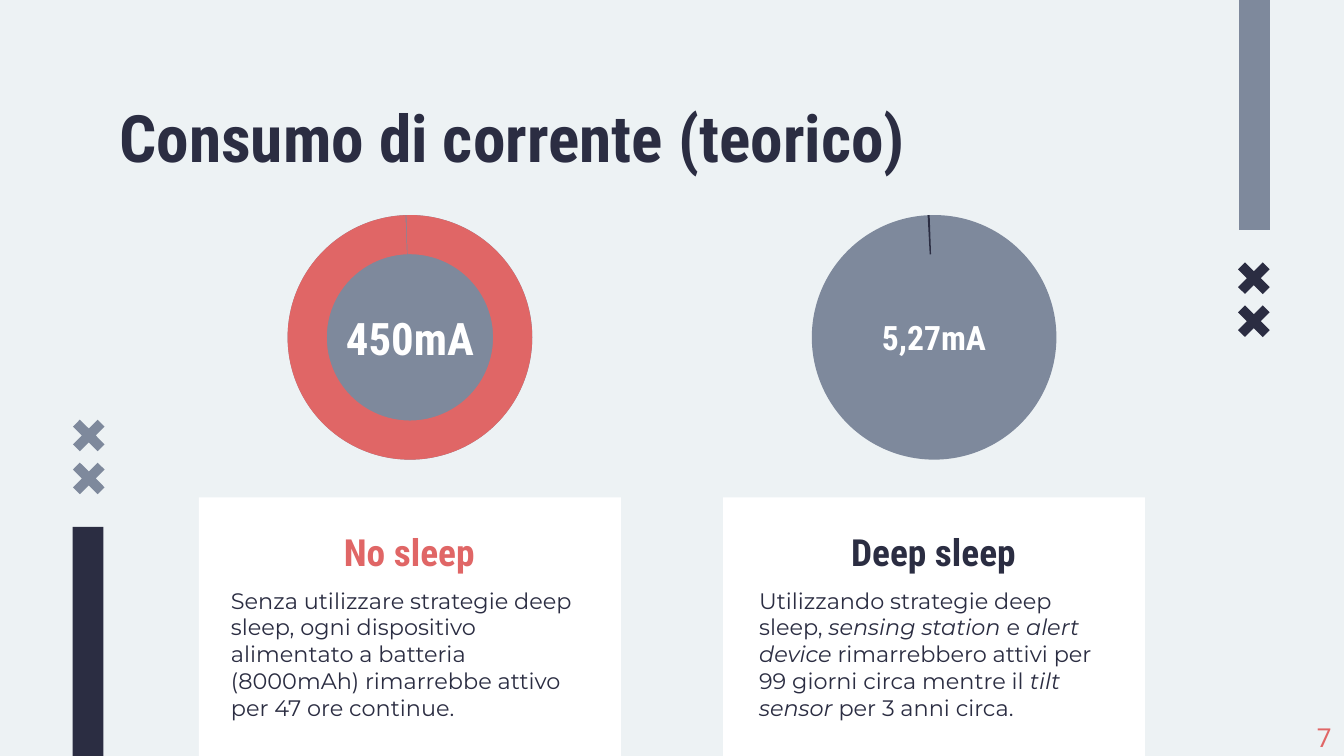
from pptx import Presentation
from pptx.dml.color import RGBColor
from pptx.enum.shapes import MSO_SHAPE
from pptx.enum.text import MSO_ANCHOR, PP_ALIGN
from pptx.util import Inches, Pt

RECT, OVAL = MSO_SHAPE.RECTANGLE, MSO_SHAPE.OVAL
CROSS, ARC = MSO_SHAPE.CROSS, MSO_SHAPE.BLOCK_ARC
TOP, MIDDLE = MSO_ANCHOR.TOP, MSO_ANCHOR.MIDDLE
LEFT, CENTER = PP_ALIGN.LEFT, PP_ALIGN.CENTER

PAPER = RGBColor(0xED, 0xF2, 0xF4)
WHITE = RGBColor(0xFF, 0xFF, 0xFF)
NAVY = RGBColor(0x2B, 0x2D, 0x42)
GREY = RGBColor(0x7E, 0x89, 0x9C)
RED = RGBColor(0xE0, 0x66, 0x66)

HEAD, BODY, NUMBER = "Roboto Condensed", "Montserrat", "Roboto"


def write(sp, runs, font=HEAD, size=12, color=NAVY, bold=False,
          align=LEFT, anchor=MIDDLE, wrap=True):
    """Fill a shape with one paragraph; runs is a string or (text, italic) pairs."""
    tf = sp.text_frame
    tf.word_wrap = wrap
    tf.vertical_anchor = anchor
    tf.margin_left = tf.margin_right = Inches(0.1)
    tf.margin_top = tf.margin_bottom = Inches(0.1 if wrap else 0.05)
    p = tf.paragraphs[0]
    p.alignment = align
    for text, italic in [(runs, False)] if isinstance(runs, str) else runs:
        r = p.add_run()
        r.text = text
        r.font.name, r.font.size = font, Pt(size)
        r.font.bold, r.font.italic = bold, italic
        r.font.color.rgb = color


class Deck:
    def __init__(self, prs):
        self.slide = prs.slides.add_slide(prs.slide_layouts[6])
        self.slide.background.fill.solid()
        self.slide.background.fill.fore_color.rgb = PAPER

    def shape(self, kind, x, y, w, h, color, rotation=0, adjust=()):
        sp = self.slide.shapes.add_shape(
            kind, Inches(x), Inches(y), Inches(w), Inches(h))
        sp.shadow.inherit = False
        sp.fill.solid()
        sp.fill.fore_color.rgb = color
        sp.line.fill.background()
        sp.rotation = rotation
        for i, value in enumerate(adjust):
            sp.adjustments[i] = value
        return sp

    def text(self, x, y, w, h, runs, **style):
        sp = self.slide.shapes.add_textbox(
            Inches(x), Inches(y), Inches(w), Inches(h))
        write(sp, runs, **style)

    def bar(self, x, y, color, rotation):
        self.shape(RECT, x, y, 1.71, 0.23, color, rotation)

    def crosses(self, x, y, color, rotation):
        for i in range(2):
            self.shape(CROSS, x, y + i * 0.32, 0.26, 0.26, color, rotation,
                       [0.36])

    def gauge(self, x, value, size, color, start, end):
        """Disc with a ring segment; angles are in degrees."""
        box = (x, 1.6, 1.82, 1.82)
        write(self.shape(OVAL, *box, GREY), value, size=size, color=WHITE,
              bold=True, align=CENTER)
        # An adjustment unit is 100000, a degree is 60000
        self.shape(ARC, *box, color, 270, [start * 0.6, end * 0.6, 0.16])

    def column(self, x, heading, color, body, body_x, body_w, **gauge):
        self.shape(RECT, x, 3.7, 3.14, 2.01, WHITE)
        self.gauge(x + 0.66, color=color, **gauge)
        self.text(x + 0.82, 3.9, 1.49, 0.41, heading, size=20, color=color,
                  bold=True, align=CENTER)
        self.text(body_x, 4.41, body_w, 0.91, body, font=BODY)


def main():
    prs = Presentation()
    prs.slide_width = Inches(10)
    prs.slide_height = prs.slide_width * 9 // 16
    deck = Deck(prs)

    deck.bar(-0.2, 4.66, NAVY, 90)
    deck.crosses(0.53, 3.11, GREY, 135)
    deck.bar(8.48, 0.74, GREY, 270)
    deck.crosses(9.2, 1.94, NAVY, 315)

    deck.text(0.79, 0.62, 6.33, 0.62, "Consumo di corrente (teorico)",
              size=35, bold=True, anchor=TOP)

    deck.column(
        1.48, "No sleep", RED,
        "Senza utilizzare strategie deep sleep, ogni dispositivo alimentato a "
        "batteria (8000mAh) rimarrebbe attivo per 47 ore continue.",
        1.62, 2.85, value="450mA", size=24, start=358.37, end=357.92)
    deck.column(
        5.38, "Deep sleep", NAVY,
        [("Utilizzando strategie deep sleep, ", False),
         ("sensing station ", True), ("e ", False), ("alert device ", True),
         ("rimarrebbero attivi per 99 giorni circa mentre il ", False),
         ("tilt sensor", True), (" per 3 anni circa.", False)],
        5.55, 2.8, value="5,27mA", size=18, start=356.98, end=357.92)

    deck.text(9.7, 5.32, 0.3, 0.34, "7", font=NUMBER, size=14, color=RED,
              anchor=TOP, wrap=False)
    prs.save("out.pptx")


if __name__ == "__main__":
    main()
